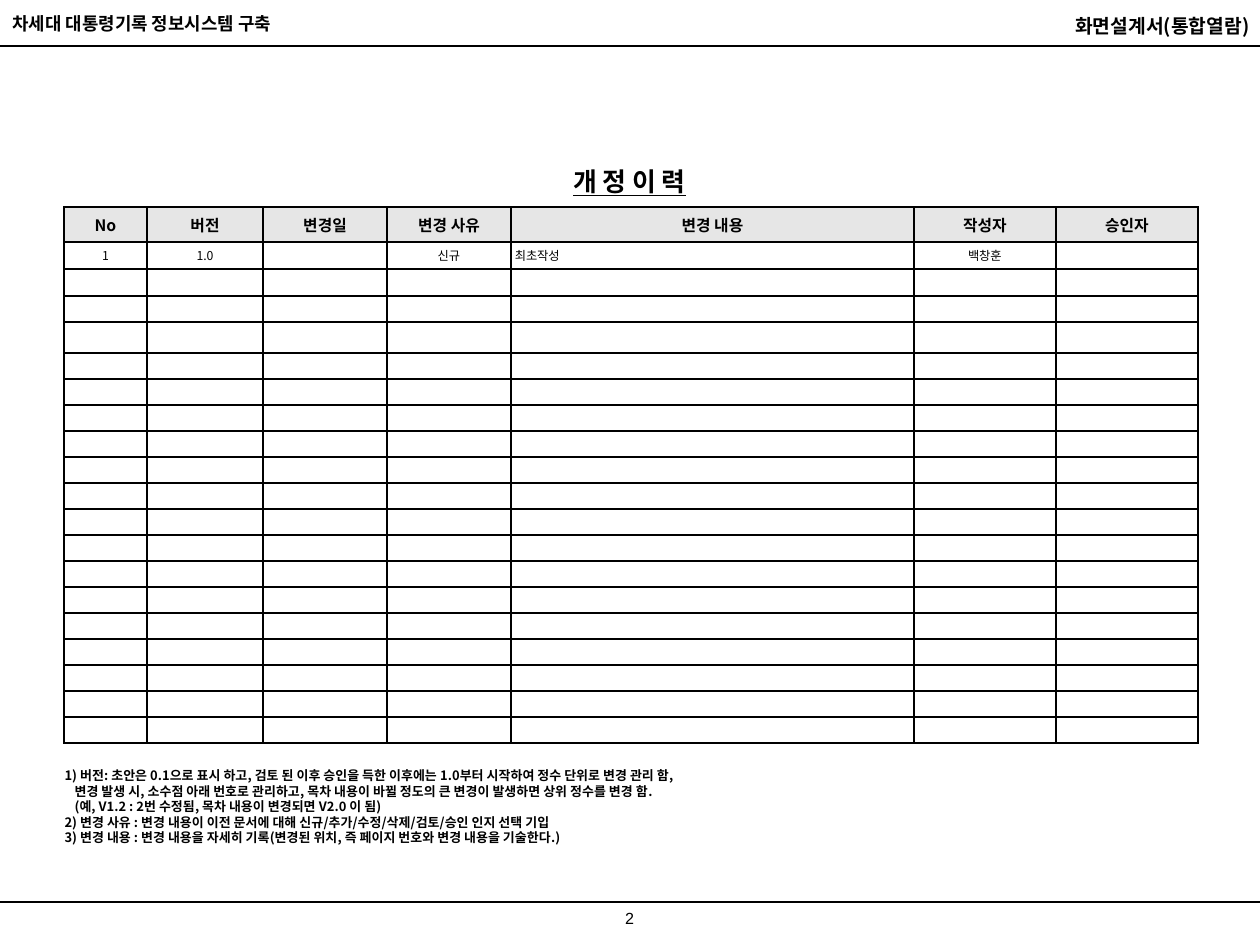
import pptx
import pptx.util
import pptx.dml.color
import pptx.enum.shapes
import pptx.enum.text
from lxml import etree
from pptx.oxml.ns import qn

PX = 914400 / 126
BLACK = pptx.dml.color.RGBColor(0, 0, 0)
GRAY = pptx.dml.color.RGBColor(0xE6, 0xE6, 0xE6)
FONT = "Noto Sans CJK KR"
ALIGN = pptx.enum.text.PP_ALIGN
MID = pptx.enum.text.MSO_ANCHOR.MIDDLE

COLS = [83, 116, 124, 124, 403, 142, 142]
ROWS = [35, 27, 27, 26, 31] + [26] * 15
HEADS = ["No", "버전", "변경일", "변경 사유", "변경 내용", "작성자", "승인자"]
FIRST = ["1", "1.0", "", "신규", "최초작성", "백창훈", ""]
NOTES = [
    (0, "1) 버전: 초안은 0.1으로 표시 하고, 검토 된 이후 승인을 득한 이후에는 1.0부터 시작하여 정수 단위로 변경 관리 함,"),
    (10, "변경 발생 시, 소수점 아래 번호로 관리하고, 목차 내용이 바뀔 정도의 큰 변경이 발생하면 상위 정수를 변경 함."),
    (10, "(예, V1.2 : 2번 수정됨, 목차 내용이 변경되면 V2.0 이 됨)"),
    (0, "2) 변경 사유 : 변경 내용이 이전 문서에 대해 신규/추가/수정/삭제/검토/승인 인지 선택 기입"),
    (0, "3) 변경 내용 : 변경 내용을 자세히 기록(변경된 위치, 즉 페이지 번호와 변경 내용을 기술한다.)"),
]


def px(num):
    """Turn pixels into EMU."""
    return pptx.util.Emu(round(num * PX))


def style(para, size, bold=False, align=ALIGN.LEFT, face=FONT):
    """Format a paragraph and its runs."""
    para.alignment = align
    para.space_before = pptx.util.Pt(0)
    for run in para.runs:
        font = run.font
        font.size, font.bold, font.name = pptx.util.Pt(size), bold, face
        font.color.rgb = BLACK
        east = etree.Element(qn("a:ea"), typeface=face)
        font._element.find(qn("a:latin")).addnext(east)


def place(shape, box):
    """Move a shape to a box of left, top, width and height."""
    shape.left, shape.top, shape.width, shape.height = map(px, box)


def setup(shape):
    """Wrap and centre the text of a shape vertically."""
    frame = shape.text_frame
    frame.word_wrap = True
    frame.auto_size = pptx.enum.text.MSO_AUTO_SIZE.NONE
    frame.vertical_anchor = MID
    return frame


def label(slide, box, text, size, **look):
    """Add a one-line text box."""
    frame = setup(slide.shapes.add_textbox(*map(px, box)))
    frame.margin_top = frame.margin_bottom = 0
    frame.text = text
    style(frame.paragraphs[0], size, **look)


def rule(slide, left, top, width):
    """Draw a level line without shadow."""
    kind = pptx.enum.shapes.MSO_CONNECTOR.STRAIGHT
    line = slide.shapes.add_connector(
        kind, px(left), px(top), px(left + width), px(top))
    line.line.color.rgb = BLACK
    line.line.width = pptx.util.Pt(1.5)
    etree.SubElement(line._element.spPr, qn("a:effectLst"))


def header(slide, left, top, width):
    """Place the two running heads above their rule."""
    half = 523
    label(slide, (left, top + 6, half, 34),
          "차세대 대통령기록 정보시스템 구축", 10.2, bold=True)
    label(slide, (left + width - half + 2, top + 8, half, 35),
          "화면설계서(통합열람)", 11, bold=True, align=ALIGN.RIGHT)
    rule(slide, left, top + 46, width)


def footer(slide, left, top, width):
    """Place the bottom rule and the page number."""
    rule(slide, left, top, width)
    label(slide, (left + width // 2 - 59, top, 117, 33), "2", 9.2,
          align=ALIGN.CENTER, face="Arial")


def title(slide, box):
    """Fill the title placeholder."""
    shape = slide.shapes.title
    place(shape, box)
    frame = setup(shape)
    frame.text = "개 정 이 력"
    para = frame.paragraphs[0]
    style(para, 14.8, bold=True, align=ALIGN.CENTER)
    para.runs[0].font.underline = True


def border(cell):
    """Draw black lines on the four sides of a cell."""
    props = cell._tc.get_or_add_tcPr()
    for spot, side in enumerate("LRTB"):
        line = etree.Element(qn("a:ln" + side), w="12700")
        fill = etree.SubElement(line, qn("a:solidFill"))
        etree.SubElement(fill, qn("a:srgbClr"), val=str(BLACK))
        props.insert(spot, line)


def history(slide, left, top):
    """Build the table of revisions."""
    box = (left, top, sum(COLS), sum(ROWS))
    table = slide.shapes.add_table(
        len(ROWS), len(COLS), *map(px, box)).table
    table.horz_banding = table.first_row = False
    for col, width in zip(table.columns, COLS):
        col.width = px(width)
    for row, high in zip(table.rows, ROWS):
        row.height = px(high)
    blank = [""] * len(COLS)
    texts = [HEADS, FIRST] + [blank] * (len(ROWS) - 2)
    for y, line in enumerate(texts):
        for x, text in enumerate(line):
            cell = table.cell(y, x)
            cell.margin_left = cell.margin_right = px(4)
            cell.margin_top = cell.margin_bottom = 0
            cell.vertical_anchor = MID
            if y == 0:
                cell.fill.solid()
                cell.fill.fore_color.rgb = GRAY
            else:
                cell.fill.background()
            border(cell)
            para = cell.text_frame.paragraphs[0]
            para.text = text
            left_side = y == 1 and x == 4
            style(para, 7 if y else 9, bold=y == 0,
                  align=ALIGN.LEFT if left_side else ALIGN.CENTER)
            etree.SubElement(para._p, qn("a:endParaRPr"), sz="700")


def notes(slide, box):
    """Fill the body placeholder with the notes."""
    shape = slide.placeholders[1]
    place(shape, box)
    frame = setup(shape)
    frame.text = "\n".join(text for _, text in NOTES)
    for para, (dent, _) in zip(frame.paragraphs, NOTES):
        style(para, 7.4, bold=True)
        para.line_spacing = pptx.util.Pt(8.9)
        props = para._p.get_or_add_pPr()
        props.set("marL", str(px(dent)))
        props.set("indent", "0")
        etree.SubElement(props, qn("a:buNone"))


def main():
    """Build and save the slide."""
    deck = pptx.Presentation()
    deck.slide_width, deck.slide_height = px(1260), px(945)
    slide = deck.slides.add_slide(deck.slide_layouts[1])
    header(slide, 0, 0, 1260)
    footer(slide, 0, 902, 1260)
    history(slide, 64, 207)
    notes(slide, (52, 761, 891, 91))
    title(slide, (48, 159, 1163, 44))
    deck.save("out.pptx")


if __name__ == "__main__":
    main()
